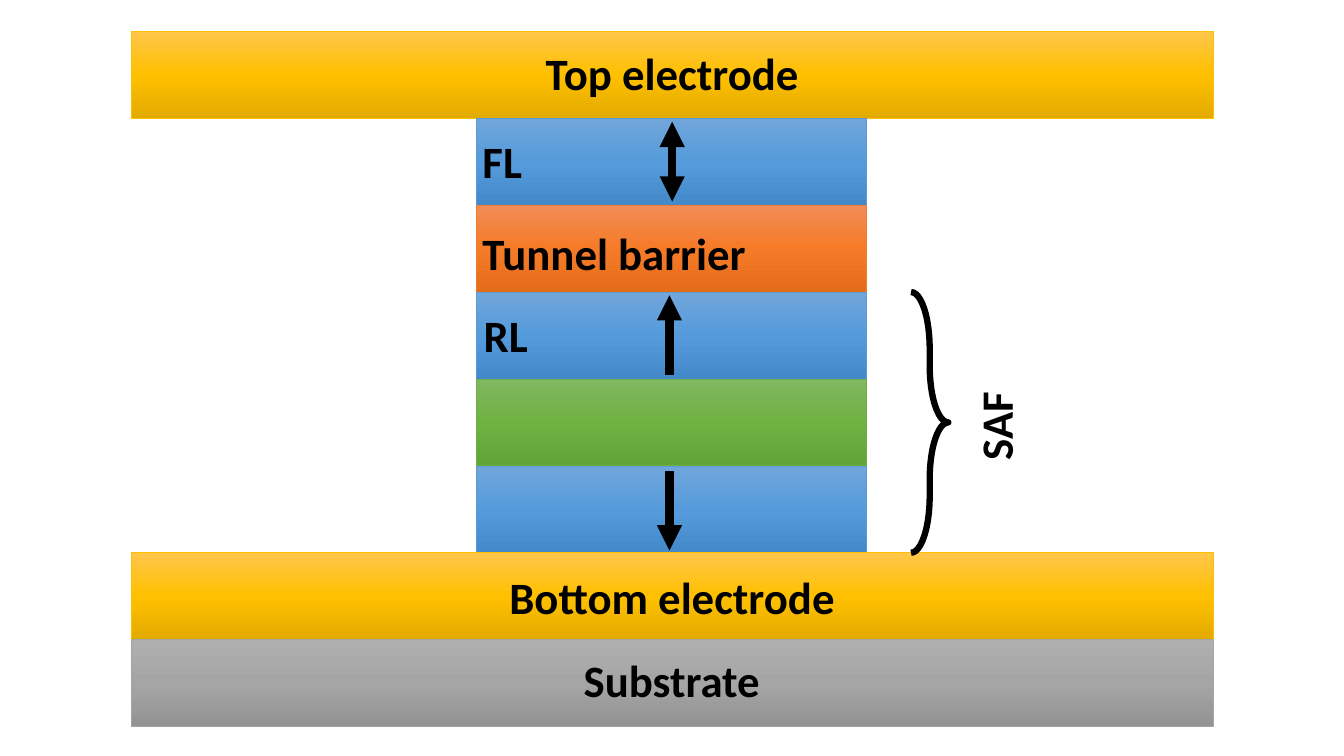
from copy import deepcopy
from lxml import etree
from pptx import Presentation
from pptx.dml.color import RGBColor
from pptx.enum.shapes import MSO_CONNECTOR, MSO_SHAPE
from pptx.enum.text import MSO_AUTO_SIZE as AUTO, PP_ALIGN as ALIGN
from pptx.oxml.ns import qn
from pptx.util import Cm, Pt


def rgb(value):
    return RGBColor.from_string(value)


prs = Presentation()
prs.slide_width, prs.slide_height = Cm(33.87), Cm(19.05)
shapes = prs.slides.add_slide(prs.slide_layouts[6]).shapes

BLUE = ("71A6DB", "559BDB", "448ACA", "5B9BD5")
GREEN = ("81B861", "6FB242", "62A336", "70AD47")
ORANGE = ("F18C57", "F67B28", "E56C19", "ED7D31")
GOLD = ("FFC64B", "FFC000", "E3AB00", "FFC000")
GREY = ("AFAFAF", "A5A5A5", "939393", "A5A5A5")
WIDE, PILLAR = (3.3, 27.28), (12.01, 9.83)
TOP, LAYER = 0.79, 2.19

layers = [
    (WIDE, GOLD), (PILLAR, BLUE), (PILLAR, ORANGE), (PILLAR, BLUE),
    (PILLAR, GREEN), (PILLAR, BLUE), (WIDE, GOLD), (WIDE, GREY),
]
for row, ((left, width), (*stops, edge)) in enumerate(layers):
    sp = shapes.add_shape(MSO_SHAPE.RECTANGLE, Cm(left), Cm(TOP + row * LAYER),
                          Cm(width), Cm(LAYER))
    sp.shadow.inherit = False
    sp.fill.gradient()
    sp.fill.gradient_angle = 270
    gs_list = next(sp._element.spPr.iter(qn("a:gsLst")))
    gs_list.insert(1, deepcopy(gs_list[0]))
    for stop, color, position in zip(sp.fill.gradient_stops, stops, (0, 0.5, 1)):
        stop.color.rgb = rgb(color)
        stop.position = position
    sp.line.color.rgb = rgb(edge)
    sp.line.width = Pt(0.5)

brace = shapes.add_shape(MSO_SHAPE.RIGHT_BRACE, Cm(22.96), Cm(TOP + 3 * LAYER),
                         Cm(0.94), Cm(3 * LAYER))
brace.shadow.inherit = False
brace.adjustments[0] = 1.525
brace.fill.background()
brace.line.color.rgb = rgb("000000")
brace.line.width = Pt(4.5)

arrows = [
    (16.94, 5.08, 3.07, ("headEnd", "tailEnd")),
    (16.87, 9.45, 7.44, ("tailEnd",)),
    (16.87, 13.87, 11.86, ("headEnd",)),
]
for x, start, end, tips in arrows:
    cx = shapes.add_connector(MSO_CONNECTOR.STRAIGHT, Cm(x), Cm(start), Cm(x), Cm(end))
    cx.line.color.rgb = rgb("000000")
    cx.line.width = Pt(6)
    ln = cx.line._get_or_add_ln()
    for tip in tips:
        etree.SubElement(ln, qn(f"a:{tip}"), type="triangle")
    etree.SubElement(cx._element.spPr, qn("a:effectLst"))

labels = [
    ("Top electrode", 13.46, 1.04, 6.96, ALIGN.CENTER, 0),
    ("FL", 11.91, 3.25, 1.52, ALIGN.LEFT, 0),
    ("Tunnel barrier", 11.91, 5.56, 7.21, ALIGN.LEFT, 0),
    ("RL", 11.94, 7.62, 1.63, ALIGN.LEFT, 0),
    ("SAF", 23.95, 9.91, 2.26, ALIGN.LEFT, 270),
    ("Bottom electrode", 12.52, 14.22, 8.84, ALIGN.CENTER, 0),
    ("Substrate", 14.43, 16.33, 5.0, ALIGN.CENTER, 0),
]
font_format = {"name": "Calibri", "size": Pt(32), "bold": True}
for text, left, top, width, align, rotation in labels:
    sp = shapes.add_textbox(Cm(left), Cm(top), Cm(width), Cm(1.62))
    sp.rotation = rotation
    tf = sp.text_frame
    tf.word_wrap = False
    tf.auto_size = AUTO.SHAPE_TO_FIT_TEXT
    p = tf.paragraphs[0]
    p.alignment = align
    r = p.add_run()
    r.text = text
    for name, value in font_format.items():
        setattr(r.font, name, value)
    r.font.color.rgb = rgb("000000")

prs.save("out.pptx")
